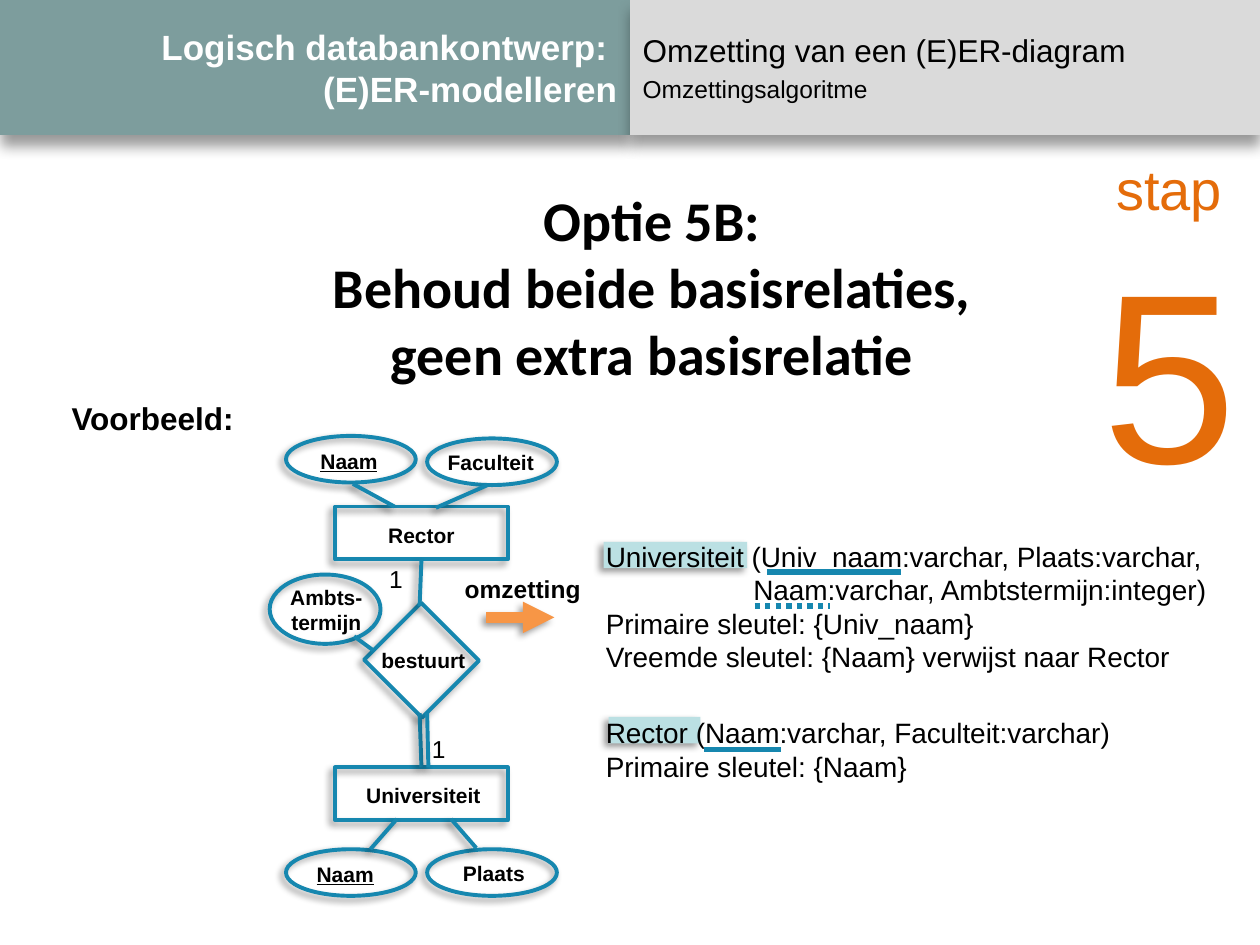
from pptx import Presentation
from pptx.dml.color import RGBColor
from pptx.enum.dml import MSO_LINE
from pptx.enum.shapes import MSO_CONNECTOR, MSO_SHAPE
from pptx.enum.text import MSO_ANCHOR, MSO_AUTO_SIZE, PP_ALIGN
from pptx.oxml.ns import qn
from pptx.util import Inches, Pt
from lxml.etree import SubElement

BLACK = RGBColor(0x00, 0x00, 0x00)
WHITE = RGBColor(0xFF, 0xFF, 0xFF)
TEAL = RGBColor(0x7D, 0x9D, 0x9D)
GREY = RGBColor(0xDA, 0xDA, 0xDA)
ORANGE = RGBColor(0xE4, 0x6C, 0x0A)
ARROW = RGBColor(0xF7, 0x96, 0x46)
BLUE = RGBColor(0x16, 0x87, 0xAF)
PALE = RGBColor(0xBB, 0xE0, 0xE3)
SOFT = (4, 3, 135)
DEEP = (8, 6, 90)


class DiagramPage:
    """Draws on a slide divided into 100 columns and 75 rows."""

    def __init__(self, deck):
        self.page = deck.slides.add_slide(deck.slide_layouts[1])
        self.cell = deck.slide_width / 100

    def grid(self, *cells):
        return [round(count * self.cell) for count in cells]

    def shade(self, shape, shadow):
        properties = shape._element.spPr
        for old in properties.findall(qn("a:effectLst")):
            properties.remove(old)
        effects = SubElement(properties, qn("a:effectLst"))
        if shadow:
            blur, distance, angle = shadow
            outer = SubElement(effects, qn("a:outerShdw"), blurRad=str(Pt(blur)), dist=str(Pt(distance)),
                               dir=str(angle * 60000), algn="ctr", rotWithShape="0")
            color = SubElement(outer, qn("a:srgbClr"), val=str(BLACK))
            SubElement(color, qn("a:alpha"), val="40000")

    def fill_frame(self, frame, lines, sizes, color=BLACK, bold=False, underline=False,
                   align=PP_ALIGN.LEFT, font="Arial"):
        frame.text = "\n".join(lines)
        for index, para in enumerate(frame.paragraphs):
            settings = para._p.get_or_add_pPr()
            settings.set("marL", "0")
            settings.set("indent", "0")
            para.space_before = Pt(0)
            SubElement(settings, qn("a:buNone"))
            para.alignment = align
            para.font.name = font
            para.font.size = Pt(sizes[min(index, len(sizes) - 1)])
            para.font.bold = bold
            para.font.underline = underline
            para.font.color.rgb = color
        return frame.paragraphs

    def header(self, index, column, fill, lines, *sizes, **style):
        box = self.page.placeholders[index]
        box.left, box.top, box.width, box.height = self.grid(column, 0, 50, 10.7)
        box.fill.solid()
        box.fill.fore_color.rgb = fill
        self.shade(box, DEEP)
        frame = box.text_frame
        frame.word_wrap = True
        frame.auto_size = MSO_AUTO_SIZE.NONE
        frame.vertical_anchor = MSO_ANCHOR.MIDDLE
        return self.fill_frame(frame, lines, sizes, **style)

    def text(self, place, lines, *sizes, wrap=False, **style):
        box = self.page.shapes.add_textbox(*self.grid(*place))
        frame = box.text_frame
        frame.word_wrap = wrap
        frame.auto_size = MSO_AUTO_SIZE.SHAPE_TO_FIT_TEXT
        return self.fill_frame(frame, lines, sizes, **style)

    def shape(self, kind, place, fill=None, turn=0):
        shape = self.page.shapes.add_shape(kind, *self.grid(*place))
        shape.rotation = turn
        if fill is None:
            shape.fill.background()
            shape.line.color.rgb = BLUE
            shape.line.width = Pt(2.25)
        else:
            shape.fill.solid()
            shape.fill.fore_color.rgb = fill
            shape.line.fill.background()
        self.shade(shape, SOFT)
        return shape

    def node(self, kind, place, label_place, lines, underline=False, turn=0):
        self.text(label_place, lines, 12, bold=True, underline=underline, align=PP_ALIGN.CENTER)
        return self.shape(kind, place, turn=turn)

    def line(self, ends, color=BLUE, width=2.25, shadow=SOFT):
        line = self.page.shapes.add_connector(MSO_CONNECTOR.STRAIGHT, *self.grid(*ends))
        line.line.color.rgb = color
        line.line.width = Pt(width)
        self.shade(line, shadow)
        return line


def main():
    deck = Presentation()
    deck.slide_width, deck.slide_height = Inches(10), Inches(7.5)
    page = DiagramPage(deck)

    page.header(0, 0, TEAL, ["Logisch databankontwerp: \v(E)ER-modelleren"], 20,
                color=WHITE, bold=True, align=PP_ALIGN.RIGHT)
    topic = page.header(1, 50, GREY, ["Omzetting van een (E)ER-diagram", "Omzettingsalgoritme"], 18, 14)
    topic[1].space_before = Pt(2.8)

    page.text((86.4, 11.8, 12.8, 29.6), ["stap", "5"], 32, 138, color=ORANGE, align=PP_ALIGN.CENTER)
    heading = ["Optie 5B:", "Behoud beide basisrelaties,", "geen extra basisrelatie"]
    page.text((25.2, 14.2, 53.1, 17.2), heading, 32, bold=True, align=PP_ALIGN.CENTER, font="Calibri")
    page.text((4.7, 31.2, 15, 4), ["Voorbeeld:"], 18, bold=True)
    page.text((35.9, 45.1, 11.3, 3.4), ["omzetting"], 14, bold=True)
    arrow = page.line((38.6, 49, 44, 49), ARROW, 6)
    SubElement(arrow.line._get_or_add_ln(), qn("a:tailEnd"), type="triangle")

    box, oval = MSO_SHAPE.RECTANGLE, MSO_SHAPE.OVAL
    rector = page.node(box, (26.6, 40.2, 13.7, 4.2), (29.8, 41, 7.3, 3), ["Rector"])
    university = page.node(box, (26.6, 60.9, 13.7, 4.2), (28, 61.6, 11.2, 3), ["Universiteit"])
    page.node(box, (30.2, 49.2, 6.5, 6.4), (29.2, 50.9, 8.8, 3), ["bestuurt"], turn=45)
    page.node(oval, (21.4, 45.6, 8.8, 5.5), (22, 45.9, 7.8, 5), ["Ambts-", "termijn"])
    for place, label_place, name, key in (
        ((22.7, 34.6), (24.4, 35.1, 6.6, 3), "Naam", True),
        ((33.9, 34.8), (34.5, 35.2, 8.9, 3), "Faculteit", False),
        ((22.7, 67.4), (24.1, 67.9, 6.6, 3), "Naam", True),
        ((33.9, 67.4), (35.7, 67.8, 7, 3), "Plaats", False),
    ):
        page.node(oval, (*place, 10.3, 3.7), label_place, [name], underline=key)

    page.line((33.3, 48.1, 33.2, 44.6)).end_connect(rector, 2)
    page.line((33.4, 60.9, 33.3, 56.6)).begin_connect(university, 0)
    for ends in (
        (34, 60.9, 33.9, 56.6), (29.6, 51.6, 28.1, 50.5), (38.7, 38.5, 34.6, 40.3),
        (31.3, 40.2, 28, 38.4), (31.5, 65, 29.4, 67.4), (37.8, 67.3, 35.8, 65),
    ):
        page.line(ends)
    for place in ((29.9, 44.3, 3.6, 3.3), (33.3, 57.8, 3.1, 3.3)):
        page.text(place, ["1"], 14)

    page.shape(box, (48.3, 56.9, 7.3, 2.1), PALE)
    page.shape(box, (47.9, 43, 11.4, 2.1), PALE)
    relations = page.text((47.1, 42.3, 52.1, 20.5), [
        "Universiteit (Univ_naam:varchar, Plaats:varchar,",
        "Naam:varchar, Ambtstermijn:integer)",
        "Primaire sleutel: {Univ_naam}",
        "Vreemde sleutel: {Naam} verwijst naar Rector",
        "Rector (Naam:varchar, Faculteit:varchar)",
        "Primaire sleutel: {Naam}",
    ], 16, wrap=True)
    relations[1]._p.get_or_add_pPr().set("marL", str(Inches(1.17)))
    relations[4].space_before = Pt(24)
    for ends in ((60.9, 45.4, 71.5, 45.4), (55.9, 59.5, 62, 59.5)):
        page.line(ends, width=3, shadow=None)
    foreign_key = page.line((59.9, 48.1, 65.9, 48.1), width=3, shadow=None)
    foreign_key.line.dash_style = MSO_LINE.ROUND_DOT

    deck.save("out.pptx")


if __name__ == "__main__":
    main()
